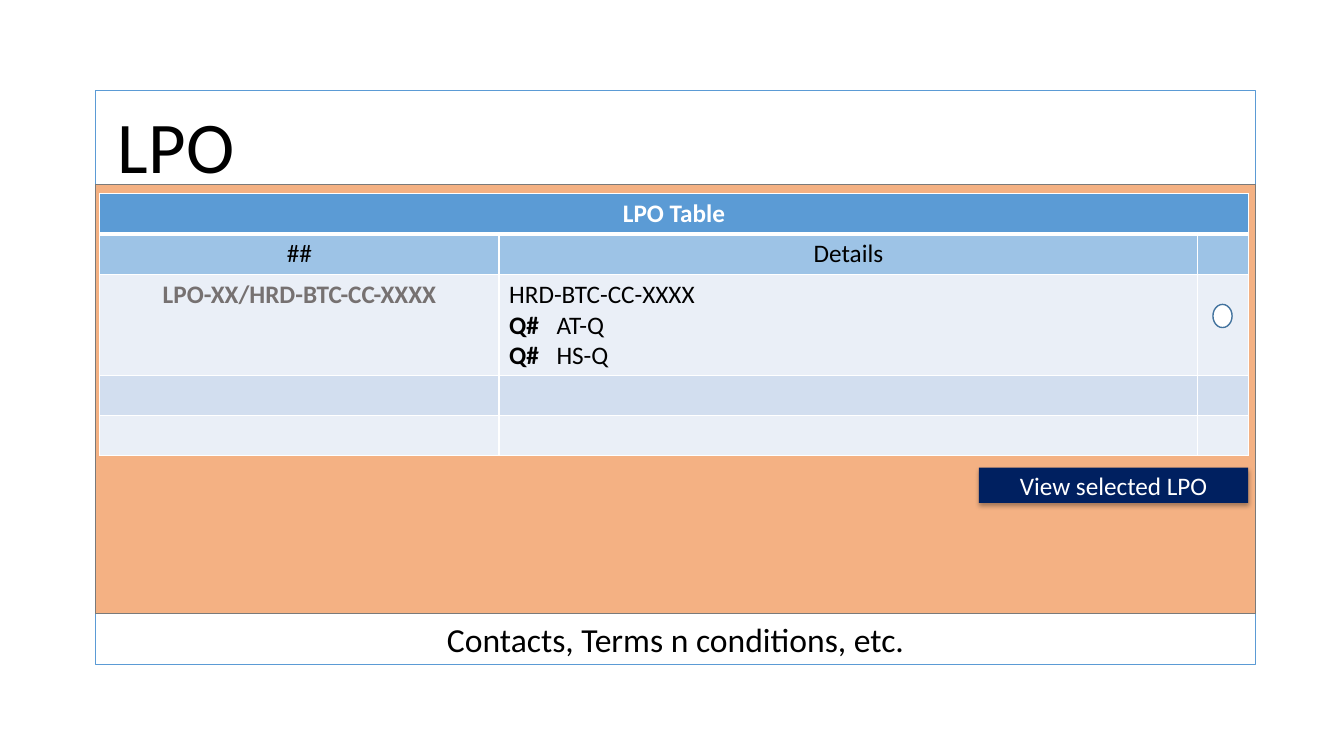
from lxml.etree import SubElement
from pptx import Presentation
from pptx.dml.color import RGBColor
from pptx.enum.shapes import MSO_SHAPE
from pptx.enum.text import MSO_ANCHOR, PP_ALIGN
from pptx.oxml import parse_xml
from pptx.oxml.ns import qn
from pptx.util import Inches, Pt

# Content
TITLE = "LPO"
FOOTER = "Contacts, Terms n conditions, etc."
BUTTON = "View selected LPO"
TABLE_TITLE = "LPO Table"
HEADINGS = ("##", "Details")
ORDER = "LPO-XX/HRD-BTC-CC-XXXX"
DETAILS = ("HRD-BTC-CC-XXXX", ("Q#", "AT-Q"), ("Q#", "HS-Q"))

# Layout in inches
WIDTH, HEIGHT = 13.33, 7.5
LEFT, TOP, PAGE_WIDTH = 0.95, 0.9, 11.5
HEADER_HEIGHT, BODY_HEIGHT, FOOTER_HEIGHT = 0.93, 4.26, 0.5
BODY_TOP = TOP + HEADER_HEIGHT
FOOTER_TOP = BODY_TOP + BODY_HEIGHT
TABLE_LEFT, TABLE_TOP = 0.99, 1.92
COLUMNS = (3.96, 6.93, 0.5)
ROWS = (0.4, 0.4, 1.0, 0.4, 0.4)
TABLE_RIGHT = TABLE_LEFT + sum(COLUMNS)
BUTTON_WIDTH, BUTTON_HEIGHT = 2.67, 0.35

# Colours
WHITE, BLACK, GREY = "FFFFFF", "000000", "767171"
BLUE, NAVY, ORANGE = "5B9BD5", "002060", "F4B183"
ROW_FILLS = (BLUE, "9DC3E6", "EAEFF7", "D2DEEF", "EAEFF7")
A_NS = 'xmlns:a="http://schemas.openxmlformats.org/drawingml/2006/main"'


def rgb(value):
    return RGBColor.from_string(value)


def inches(*lengths):
    return [Inches(length) for length in lengths]


def style(paragraph, size, color, bold=False, align=PP_ALIGN.CENTER):
    paragraph.alignment = align
    paragraph.line_spacing = 1.0
    font = paragraph.font
    font.name, font.size, font.bold = "Calibri", Pt(size), bold
    font.color.rgb = rgb(color)


def add_box(kind, box, fill, line=None):
    shape = slide.shapes.add_shape(kind, *inches(*box))
    shape.shadow.inherit = False
    shape.fill.solid()
    shape.fill.fore_color.rgb = rgb(fill)
    if line:
        shape.line.color.rgb = rgb(line)
        shape.line.width = Pt(1)
    else:
        shape.line.fill.background()
    return shape


def add_borders(cell, bottom):
    properties = cell._tc.get_or_add_tcPr()
    sides = (("lnL", 1), ("lnR", 1), ("lnT", 1), ("lnB", bottom))
    for position, (side, points) in enumerate(sides):
        properties.insert(position, parse_xml(
            f'<a:{side} {A_NS} w="{Pt(points)}"><a:solidFill>'
            f'<a:srgbClr val="{WHITE}"/></a:solidFill></a:{side}>'))


presentation = Presentation()
presentation.slide_width, presentation.slide_height = inches(WIDTH, HEIGHT)
slide = presentation.slides.add_slide(presentation.slide_layouts[5])

# Page frame and body panel
add_box(MSO_SHAPE.RECTANGLE,
        (LEFT, TOP, PAGE_WIDTH, FOOTER_TOP + FOOTER_HEIGHT - TOP), WHITE, BLUE)
add_box(MSO_SHAPE.RECTANGLE, (LEFT, BODY_TOP, PAGE_WIDTH, BODY_HEIGHT),
        ORANGE, "7A7A7A")

# Title, brought in front of the frame
title = slide.shapes.title
title.left, title.top, title.width, title.height = inches(
    1.07, TOP + 0.05, 11.12, HEADER_HEIGHT - 0.05)
title.text_frame.text = TITLE
title.text_frame.vertical_anchor = MSO_ANCHOR.TOP
style(title.text_frame.paragraphs[0], 52, BLACK, align=PP_ALIGN.LEFT)
slide.shapes._spTree.append(title._element)

# Footer
footer = slide.shapes.add_textbox(
    *inches(LEFT, FOOTER_TOP, PAGE_WIDTH, FOOTER_HEIGHT)).text_frame
footer.word_wrap = True
footer.text = FOOTER
style(footer.paragraphs[0], 24, BLACK)

# Table grid
table = slide.shapes.add_table(
    len(ROWS), len(COLUMNS),
    *inches(TABLE_LEFT, TABLE_TOP, sum(COLUMNS), sum(ROWS))).table
table.first_row = table.horz_banding = False
for column, width in zip(table.columns, COLUMNS):
    column.width = Inches(width)
for index, (row, height, fill) in enumerate(zip(table.rows, ROWS, ROW_FILLS)):
    row.height = Inches(height)
    for cell in row.cells:
        cell.fill.solid()
        cell.fill.fore_color.rgb = rgb(fill)
        add_borders(cell, bottom=3 if index == 0 else 1)
        style(cell.text_frame.paragraphs[0], 18, BLACK)
table.cell(0, 0).merge(table.cell(0, len(COLUMNS) - 1))

# Table text
labels = [(0, 0, TABLE_TITLE, WHITE, True), (2, 0, ORDER, GREY, True)]
labels += [(1, place, heading, BLACK, False)
           for place, heading in enumerate(HEADINGS)]
for row, column, text, color, bold in labels:
    frame = table.cell(row, column).text_frame
    frame.text = text
    style(frame.paragraphs[0], 18, color, bold)

details = table.cell(2, 1).text_frame
for index, entry in enumerate(DETAILS):
    paragraph = details.add_paragraph() if index else details.paragraphs[0]
    if isinstance(entry, tuple):
        label, value = entry
        tabs = SubElement(paragraph._p.get_or_add_pPr(), qn("a:tabLst"))
        SubElement(tabs, qn("a:tab"), pos=str(Inches(0.47)), algn="l")
        label_run = paragraph.add_run()
        label_run.text = label
        label_run.font.bold = True
        paragraph.add_run().text = "\t" + value
    else:
        paragraph.text = entry
    style(paragraph, 18, BLACK, align=PP_ALIGN.LEFT)

# Button with a soft shadow
button = add_box(MSO_SHAPE.RECTANGLE,
                 (TABLE_RIGHT - BUTTON_WIDTH, 4.64, BUTTON_WIDTH, BUTTON_HEIGHT),
                 NAVY)
button.text_frame.text = BUTTON
button.text_frame.vertical_anchor = MSO_ANCHOR.MIDDLE
style(button.text_frame.paragraphs[0], 18, WHITE)
effects = button._element.spPr.find(qn("a:effectLst"))
effects.append(parse_xml(
    f'<a:outerShdw {A_NS} blurRad="{Pt(3.5)}" dist="{Pt(2.2)}" dir="5400000" '
    f'rotWithShape="0"><a:srgbClr val="{BLACK}"><a:alpha val="32000"/>'
    '</a:srgbClr></a:outerShdw>'))

# Row selector
add_box(MSO_SHAPE.FLOWCHART_CONNECTOR, (12.03, 3.02, 0.19, 0.23), WHITE, "43739E")

presentation.save("out.pptx")
